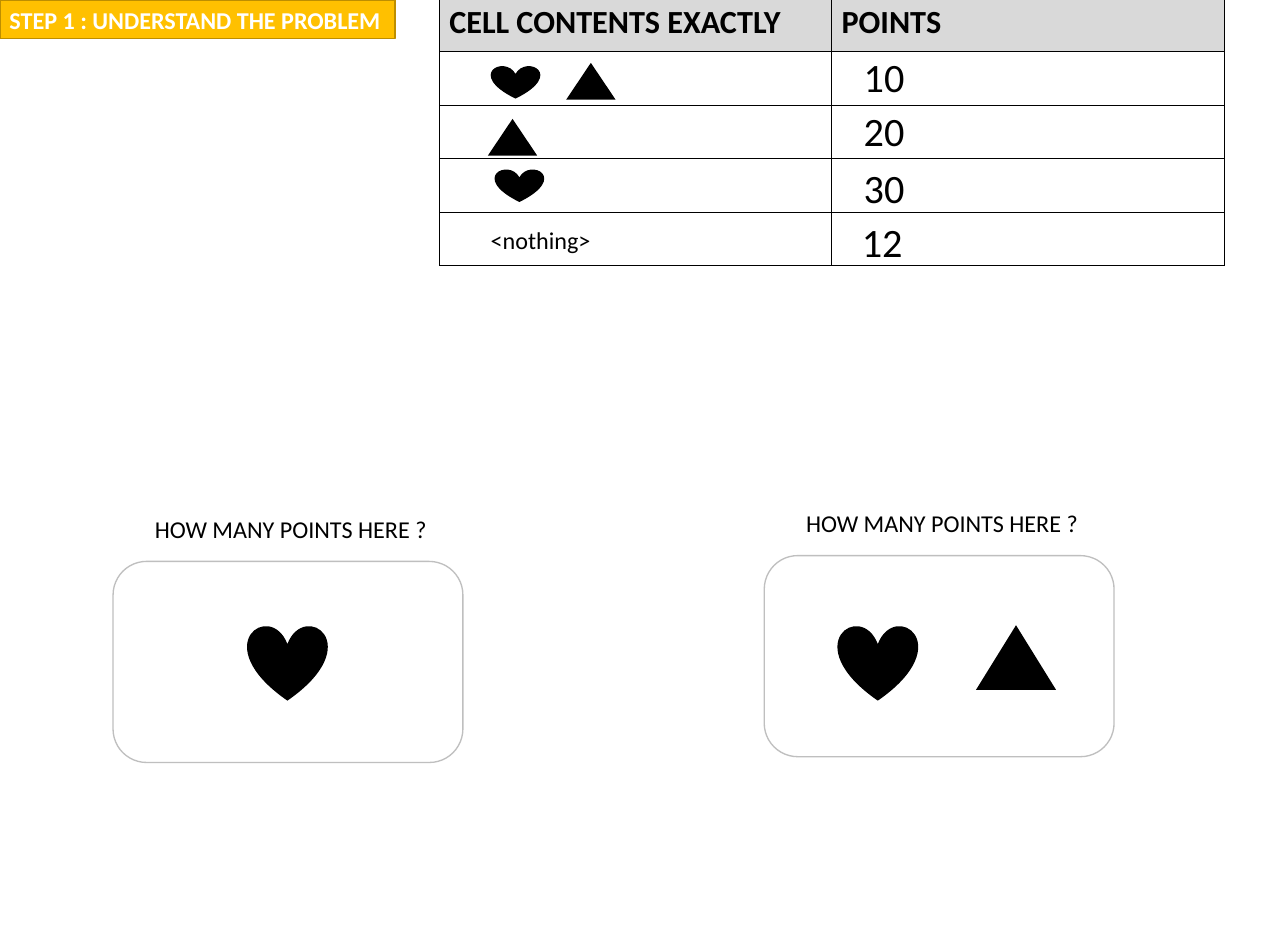
import dataclasses
import typing

import lxml.etree
import pptx
import pptx.dml.color
import pptx.enum.shapes
import pptx.enum.text
import pptx.oxml.ns
import pptx.util

SHAPE = pptx.enum.shapes.MSO_SHAPE
COLORS = {
    "ink": "000000",
    "paper": "FFFFFF",
    "header": "D9D9D9",
    "card": "BFBFBF",
    "banner": "FFC000",
    "banner edge": "BD8E00",
}
FRAME_FORMAT = {
    "word_wrap": False,
    "auto_size": pptx.enum.text.MSO_AUTO_SIZE.SHAPE_TO_FIT_TEXT,
}
WIDTH, HEIGHT = pptx.util.Inches(13.33), pptx.util.Inches(9.84)


# All lengths are percentages of the slide: x and width across, y and height down
@dataclasses.dataclass(frozen=True)
class Area:
    x: float
    y: float
    width: float
    height: float

    def lengths(self) -> tuple[int, int, int, int]:
        return (round(self.x * WIDTH / 100), round(self.y * HEIGHT / 100),
                round(self.width * WIDTH / 100), round(self.height * HEIGHT / 100))


@dataclasses.dataclass(frozen=True)
class Label:
    text: str
    area: Area
    size: float = 18


@dataclasses.dataclass(frozen=True)
class Symbol:
    kind: SHAPE
    area: Area


def rgb(name: str) -> pptx.dml.color.RGBColor:
    return pptx.dml.color.RGBColor.from_string(COLORS[name])


def write(frame: typing.Any, text: str, size: float, color: str = "ink", bold: bool = False) -> None:
    paragraph = frame.paragraphs[0]
    paragraph.alignment = pptx.enum.text.PP_ALIGN.LEFT
    run = paragraph.add_run()
    run.text = text
    font_format = {"name": "Calibri", "size": pptx.util.Pt(size), "bold": bold}
    for attribute, value in font_format.items():
        setattr(run.font, attribute, value)
    run.font.color.rgb = rgb(color)


def fit_frame(frame: typing.Any) -> None:
    for attribute, value in FRAME_FORMAT.items():
        setattr(frame, attribute, value)


def draw_label(slide: typing.Any, label: Label) -> None:
    frame = slide.shapes.add_textbox(*label.area.lengths()).text_frame
    fit_frame(frame)
    write(frame, label.text, label.size)


def draw_shape(slide: typing.Any, kind: SHAPE, area: Area,
               fill: str | None = None, line: str | None = None) -> typing.Any:
    shape = slide.shapes.add_shape(kind, *area.lengths())
    shape.shadow.inherit = False
    if fill:
        shape.fill.solid()
        shape.fill.fore_color.rgb = rgb(fill)
    else:
        shape.fill.background()
    if line:
        shape.line.color.rgb = rgb(line)
        shape.line.width = pptx.util.Pt(1)
    else:
        shape.line.fill.background()
    return shape


def add_borders(cell: typing.Any) -> None:
    properties = cell._tc.get_or_add_tcPr()
    qualified = pptx.oxml.ns.qn
    for side in ("lnL", "lnR", "lnT", "lnB"):
        border = lxml.etree.SubElement(properties, qualified(f"a:{side}"), w=str(pptx.util.Pt(1)))
        solid = lxml.etree.SubElement(border, qualified("a:solidFill"))
        lxml.etree.SubElement(solid, qualified("a:srgbClr"), val=COLORS["ink"])


def draw_score_table(slide: typing.Any, area: Area, headings: tuple[str, ...], row_count: int) -> None:
    table = slide.shapes.add_table(row_count, len(headings), *area.lengths()).table
    for attribute in ("first_row", "horz_banding"):
        setattr(table, attribute, False)
    for cell in table.iter_cells():
        add_borders(cell)
        cell.fill.background()
    for column, heading in enumerate(headings):
        cell = table.cell(0, column)
        cell.fill.solid()
        cell.fill.fore_color.rgb = rgb("header")
        write(cell.text_frame, heading, 24, bold=True)


def small_heart(x: float, y: float) -> Symbol:
    return Symbol(SHAPE.HEART, Area(x, y, 3.83, 3.46))


def small_triangle(x: float, y: float) -> Symbol:
    return Symbol(SHAPE.ISOSCELES_TRIANGLE, Area(x, y, 3.83, 3.86))


def large_heart(x: float) -> Symbol:
    return Symbol(SHAPE.HEART, Area(x, 65.75, 6.23, 7.93))


def score(text: str, x: float, y: float) -> Label:
    return Label(text, Area(x, y, 4.73, 6.2), 30)


HEADINGS = ("CELL CONTENTS EXACTLY", "POINTS")
TABLE_AREA = Area(34.13, -0.2, 60.92, 28.15)
BANNER_AREA = Area(0, 0, 30.68, 4.07)
LABELS = [
    score("10", 66.32, 4.98),
    score("20", 66.32, 10.67),
    score("30", 66.32, 16.67),
    score("12", 66.17, 22.36),
    Label("<nothing>", Area(37.36, 23.17, 9.38, 4.07)),
]
CARDS = [Area(8.78, 59.04, 27.16, 21.14), Area(59.34, 58.43, 27.16, 21.14)]
SYMBOLS = [
    Symbol(SHAPE.ISOSCELES_TRIANGLE, Area(75.77, 65.75, 6.23, 6.81)),
    large_heart(19.2),
    large_heart(65.04),
    small_triangle(43.96, 6.61),
    small_heart(38.11, 6.91),
    small_triangle(37.88, 12.5),
    small_heart(38.41, 17.78),
]


def main() -> None:
    presentation = pptx.Presentation()
    presentation.slide_width, presentation.slide_height = WIDTH, HEIGHT
    slide = presentation.slides.add_slide(presentation.slide_layouts[6])

    # Score table
    draw_score_table(slide, TABLE_AREA, HEADINGS, 5)
    for label in LABELS:
        draw_label(slide, label)

    # Question cards, each with its caption above
    for card in CARDS:
        draw_shape(slide, SHAPE.ROUNDED_RECTANGLE, card, line="card")
        caption_area = Area(card.x + 2.5, card.y - 5.49, 22.81, 4.07)
        draw_label(slide, Label("HOW MANY POINTS HERE ?", caption_area))

    # Step banner
    banner = draw_shape(slide, SHAPE.RECTANGLE, BANNER_AREA, "banner", "banner edge")
    fit_frame(banner.text_frame)
    write(banner.text_frame, "STEP 1 : UNDERSTAND THE PROBLEM", 18, "paper", bold=True)

    # Hearts and triangles
    for symbol in SYMBOLS:
        draw_shape(slide, symbol.kind, symbol.area, "ink")

    presentation.save("out.pptx")


if __name__ == "__main__":
    main()
